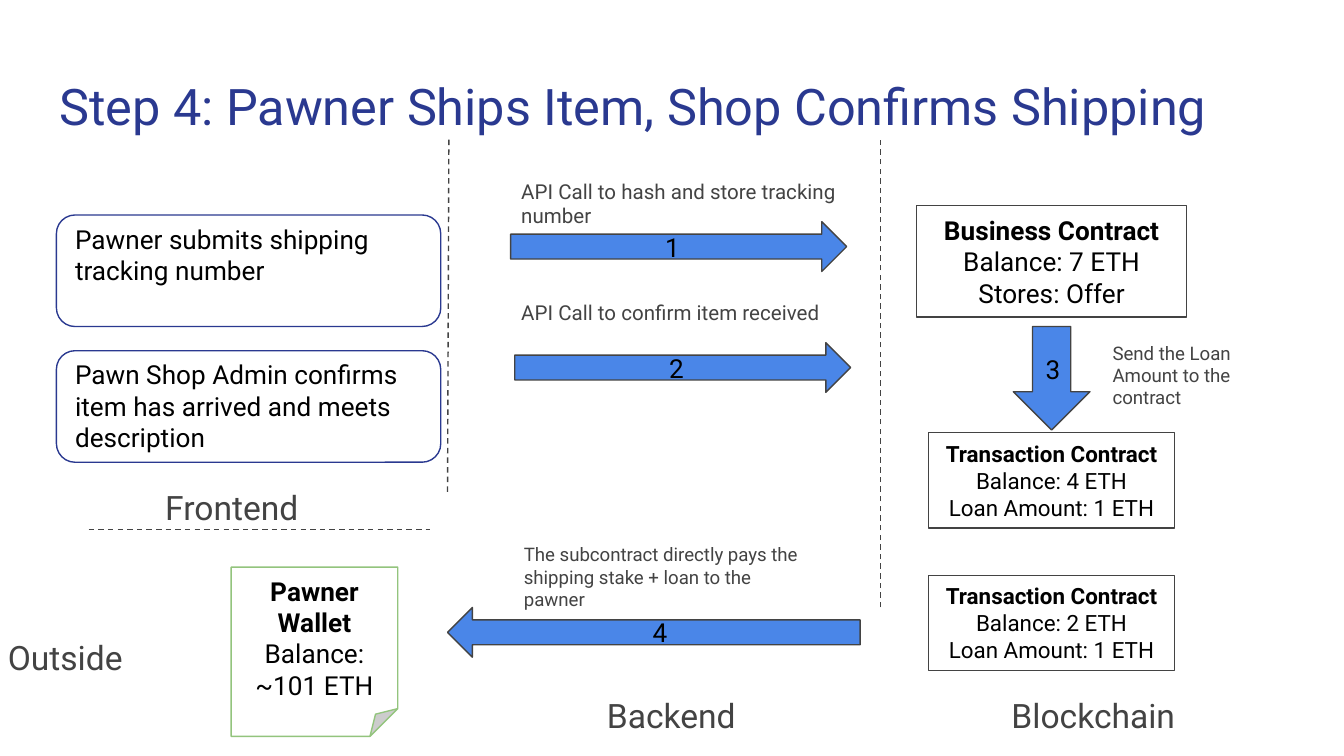
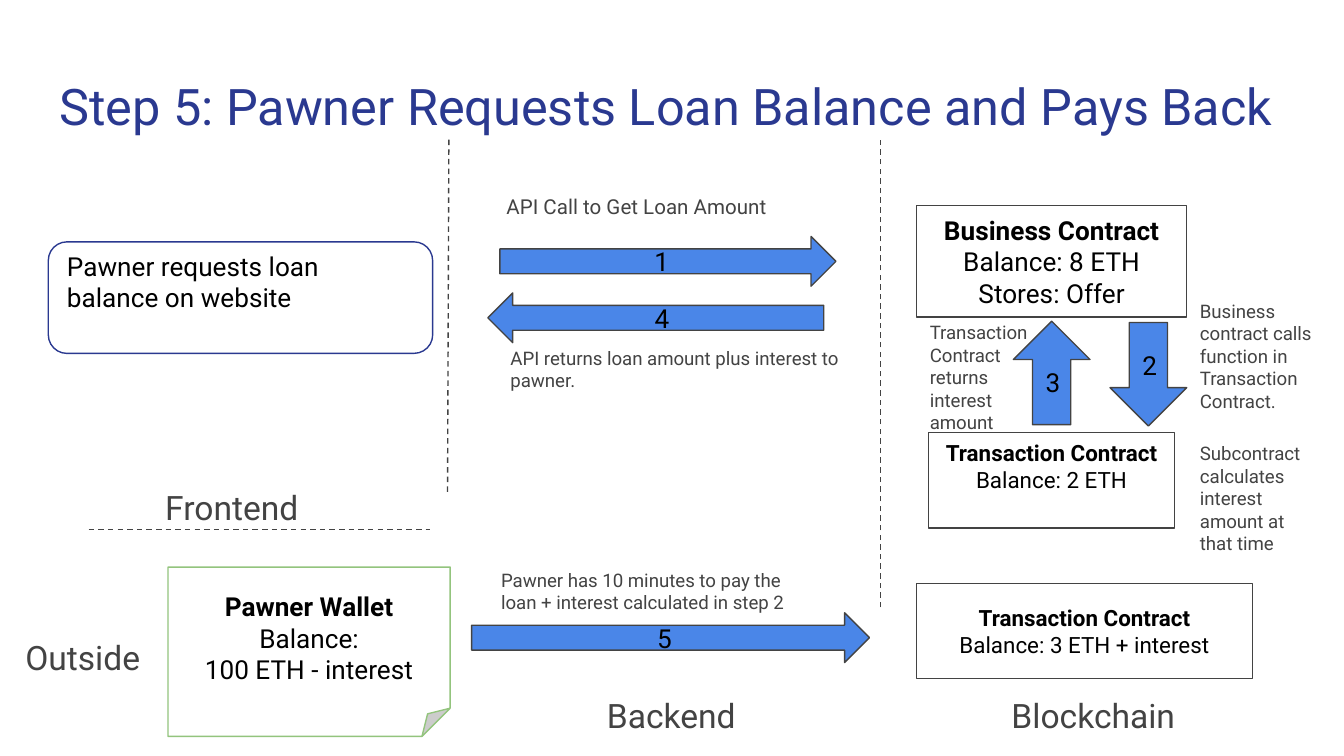
from dataclasses import dataclass

from pptx import Presentation
from pptx import util as u
from pptx.dml.color import RGBColor
from pptx.enum import dml, shapes, text
from pptx.oxml import ns, xmlchemy

SHAPE = shapes.MSO_SHAPE
ANCHOR = text.MSO_ANCHOR
ALIGN = text.PP_ALIGN

# The slide is a grid of square cells
WIDTH, HEIGHT = u.Inches(10), u.Inches(5.625)
COLUMNS, ROWS = 100, 56.25


@dataclass(frozen=True)
class Theme:
    font: str = "Roboto"
    navy: str = "2A3990"
    gray: str = "434343"
    blue: str = "4A86E8"
    green: str = "93C47D"
    white: str = "FFFFFF"
    black: str = "000000"
    title: float = 27
    lane: float = 18
    body: float = 14
    contract: float = 12
    call: float = 11
    note: float = 10
    stroke: float = 0.75


THEME = Theme()


@dataclass(frozen=True)
class Box:
    """An area of the grid, in columns and rows."""
    left: float
    top: float
    width: float
    height: float

    def inner(self, left, top, width, height):
        return Box(self.left + left, self.top + top, width, height)

    def place(self):
        return (column(self.left), row(self.top),
                column(self.width), row(self.height))


def column(count):
    return round(WIDTH * count / COLUMNS)


def row(count):
    return round(HEIGHT * count / ROWS)


# Regions of the diagram
TITLE = Box(3.4, 4.5, 93.2, 6.6)
FRONTEND = Box(0, 10.3, 33.4, 29.1)
BACKEND = Box(33.4, 10.3, 32.1, 45.9)
BLOCKCHAIN = Box(65.5, 10.3, 34.5, 45.9)
OUTSIDE = Box(0, 39.4, 33.4, 16.8)


# Basic parts
def write(frame, lines, size, color=THEME.black, align=ALIGN.LEFT,
          anchor=ANCHOR.TOP, bold_first=False, top=0.1):
    frame.word_wrap = True
    frame.vertical_anchor = anchor
    frame.margin_left = frame.margin_right = frame.margin_bottom = u.Inches(0.1)
    frame.margin_top = u.Inches(top)
    for index, line in enumerate(lines):
        para = frame.add_paragraph() if index else frame.paragraphs[0]
        para.text = line
        para.alignment = align
        para.font.name = THEME.font
        para.font.size = u.Pt(size)
        para.font.bold = bold_first and index == 0
        para.font.color.rgb = RGBColor.from_string(color)


def add_note(page, box, words, size=THEME.note, align=ALIGN.LEFT):
    label = page.shapes.add_textbox(*box.place())
    write(label.text_frame, [words], size, THEME.gray, align)


def add_figure(page, kind, box, line=THEME.gray, fill=None):
    figure = page.shapes.add_shape(kind, *box.place())
    figure.shadow.inherit = False
    if fill:
        figure.fill.solid()
        figure.fill.fore_color.rgb = RGBColor.from_string(fill)
    else:
        figure.fill.background()
    figure.line.color.rgb = RGBColor.from_string(line)
    figure.line.width = u.Pt(THEME.stroke)
    return figure


def add_arrow(page, kind, box, number):
    arrow = add_figure(page, kind, box, fill=THEME.blue)
    write(arrow.text_frame, [number], THEME.body,
          align=ALIGN.CENTER, anchor=ANCHOR.MIDDLE)


def add_divider(page, x1, y1, x2, y2):
    divider = page.shapes.add_connector(
        shapes.MSO_CONNECTOR.STRAIGHT, column(x1), row(y1), column(x2), row(y2))
    divider.line.color.rgb = RGBColor.from_string(THEME.gray)
    divider.line.width = u.Pt(THEME.stroke)
    divider.line.dash_style = dml.MSO_LINE.DASH
    divider._element.spPr.append(xmlchemy.OxmlElement("a:effectLst"))


def add_contract(page, box, lines, size=THEME.contract, anchor=ANCHOR.MIDDLE):
    contract = add_figure(page, SHAPE.RECTANGLE, box)
    write(contract.text_frame, lines, size, align=ALIGN.CENTER, anchor=anchor,
          bold_first=True, top=0.05 if anchor == ANCHOR.TOP else 0.1)


# Regions
def start_page(deck, title):
    """Add the title, the lane names and the dividers."""
    page = deck.slides.add_slide(deck.slide_layouts[5])
    heading = page.shapes.title
    heading.left, heading.top, heading.width, heading.height = TITLE.place()
    write(heading.text_frame, [title], THEME.title, THEME.navy,
          anchor=ANCHOR.BOTTOM)

    for lane, left, top, name in ((FRONTEND, 7.2, 24.9, "Frontend"),
                                  (BACKEND, 6.5, 40.4, "Backend"),
                                  (BLOCKCHAIN, 5.8, 40.4, "Blockchain")):
        add_note(page, lane.inner(left, top, 20.1, 4.1), name,
                 THEME.lane, ALIGN.CENTER)

    add_divider(page, BACKEND.left - 0.1, 36.6, BACKEND.left, BACKEND.top)
    add_divider(page, BLOCKCHAIN.left, 45.2, BLOCKCHAIN.left, BLOCKCHAIN.top)
    add_divider(page, 6.6, OUTSIDE.top, 32, OUTSIDE.top)
    return page


def fill_frontend(page, lane, left, cards):
    for top, words in cards:
        card = add_figure(page, SHAPE.ROUNDED_RECTANGLE,
                          lane.inner(left, top, 28.6, 8.3), THEME.navy)
        write(card.text_frame, [words], THEME.body, top=0.02)


def fill_backend(page, lane, calls):
    """Each call is an arrow (left, top, width) and its caption."""
    for kind, number, arrow, caption, words, size in calls:
        add_arrow(page, kind, lane.inner(*arrow, 3.7), number)
        add_note(page, lane.inner(*caption, 4.1), words, size)


def fill_blockchain(page, lane, balance, arrows, notes):
    add_contract(page, lane.inner(2.7, 5, 20.1, 8.3),
                 ["Business Contract", f"Balance: {balance} ETH", "Stores: Offer"],
                 THEME.body)
    for kind, number, left, top in arrows:
        add_arrow(page, kind, lane.inner(left, top, 5.7, 7.7), number)
    for left, top, width, words in notes:
        add_note(page, lane.inner(left, top, width, 9.6), words)


def add_transaction(page, lane, left, top, width, lines, anchor=ANCHOR.MIDDLE):
    add_contract(page, lane.inner(left, top, width, 7.1),
                 ["Transaction Contract", *lines], anchor=anchor)


def fill_outside(page, lane, label_left, wallet_left, wallet_width, lines):
    add_note(page, lane.inner(label_left, 7, 16.3, 4.1), "Outside", THEME.lane)
    wallet = add_figure(page, SHAPE.FOLDED_CORNER,
                        lane.inner(wallet_left, 2.8, wallet_width, 12.6),
                        THEME.green, THEME.white)
    write(wallet.text_frame, ["Pawner Wallet", *lines], THEME.body,
          align=ALIGN.CENTER, anchor=ANCHOR.MIDDLE, bold_first=True)


# Slides
def build_shipping(deck):
    page = start_page(deck, "Step 4: Pawner Ships Item, Shop Confirms Shipping")
    fill_frontend(page, FRONTEND, 4.2, [
        (5.7, "Pawner submits shipping tracking number"),
        (15.8, "Pawn Shop Admin confirms item has arrived and meets description"),
    ])
    fill_backend(page, BACKEND, [
        (SHAPE.RIGHT_ARROW, "1", (4.6, 6.2, 25), (4.4, 2, 26),
         "API Call to hash and store tracking number", THEME.call),
        (SHAPE.RIGHT_ARROW, "2", (4.9, 15.2, 25), (4.4, 11.1, 26),
         "API Call to confirm item received", THEME.call),
        (SHAPE.LEFT_ARROW, "4", (-0.1, 34.9, 30.7), (4.6, 29.1, 22.7),
         "The subcontract directly pays the shipping stake + loan to the pawner",
         THEME.note),
    ])
    fill_blockchain(
        page, BLOCKCHAIN, 7,
        [(SHAPE.DOWN_ARROW, "3", 9.9, 14)],
        [(16.3, 14.1, 12.8, "Send the Loan Amount to the contract")])
    for top, balance in ((21.9, 4), (32.5, 2)):
        add_transaction(page, BLOCKCHAIN, 3.6, top, 18.3,
                        [f"Balance: {balance} ETH", "Loan Amount: 1 ETH"])
    fill_outside(page, OUTSIDE, -0.4, 17.2, 12.4, ["Balance: ~101 ETH"])


def build_payback(deck):
    page = start_page(deck, "Step 5: Pawner Requests Loan Balance and Pays Back")
    fill_frontend(page, FRONTEND, 3.6,
                  [(7.7, "Pawner requests loan balance on website")])
    fill_backend(page, BACKEND, [
        (SHAPE.RIGHT_ARROW, "1", (3.8, 7.3, 25), (3.3, 3.2, 26),
         "API Call to Get Loan Amount", THEME.call),
        (SHAPE.LEFT_ARROW, "4", (2.9, 11.5, 25), (3.6, 14.5, 27.6),
         "API returns loan amount plus interest to pawner.", THEME.note),
        (SHAPE.RIGHT_ARROW, "5", (1.7, 35.3, 29.6), (2.9, 31, 24.2),
         "Pawner has 10 minutes to pay the loan + interest calculated in step 2",
         THEME.note),
    ])
    fill_blockchain(
        page, BLOCKCHAIN, 8,
        [(SHAPE.DOWN_ARROW, "2", 17.1, 13.7), (SHAPE.UP_ARROW, "3", 9.9, 13.6)],
        [(22.8, 11, 10.6, "Business contract calls function in Transaction Contract."),
         (22.8, 21.6, 10.6, "Subcontract calculates interest amount at that time"),
         (2.7, 12.6, 10, "Transaction Contract returns interest amount")])
    add_transaction(page, BLOCKCHAIN, 3.6, 21.9, 18.3, ["Balance: 2 ETH"], ANCHOR.TOP)
    add_transaction(page, BLOCKCHAIN, 2.7, 33.1, 25, ["Balance: 3 ETH + interest"])
    fill_outside(page, OUTSIDE, 0.9, 12.5, 21, ["Balance:", "100 ETH - interest"])


def main():
    deck = Presentation()
    deck.slide_width, deck.slide_height = WIDTH, HEIGHT
    build_shipping(deck)
    build_payback(deck)
    deck.save("out.pptx")


if __name__ == "__main__":
    main()
